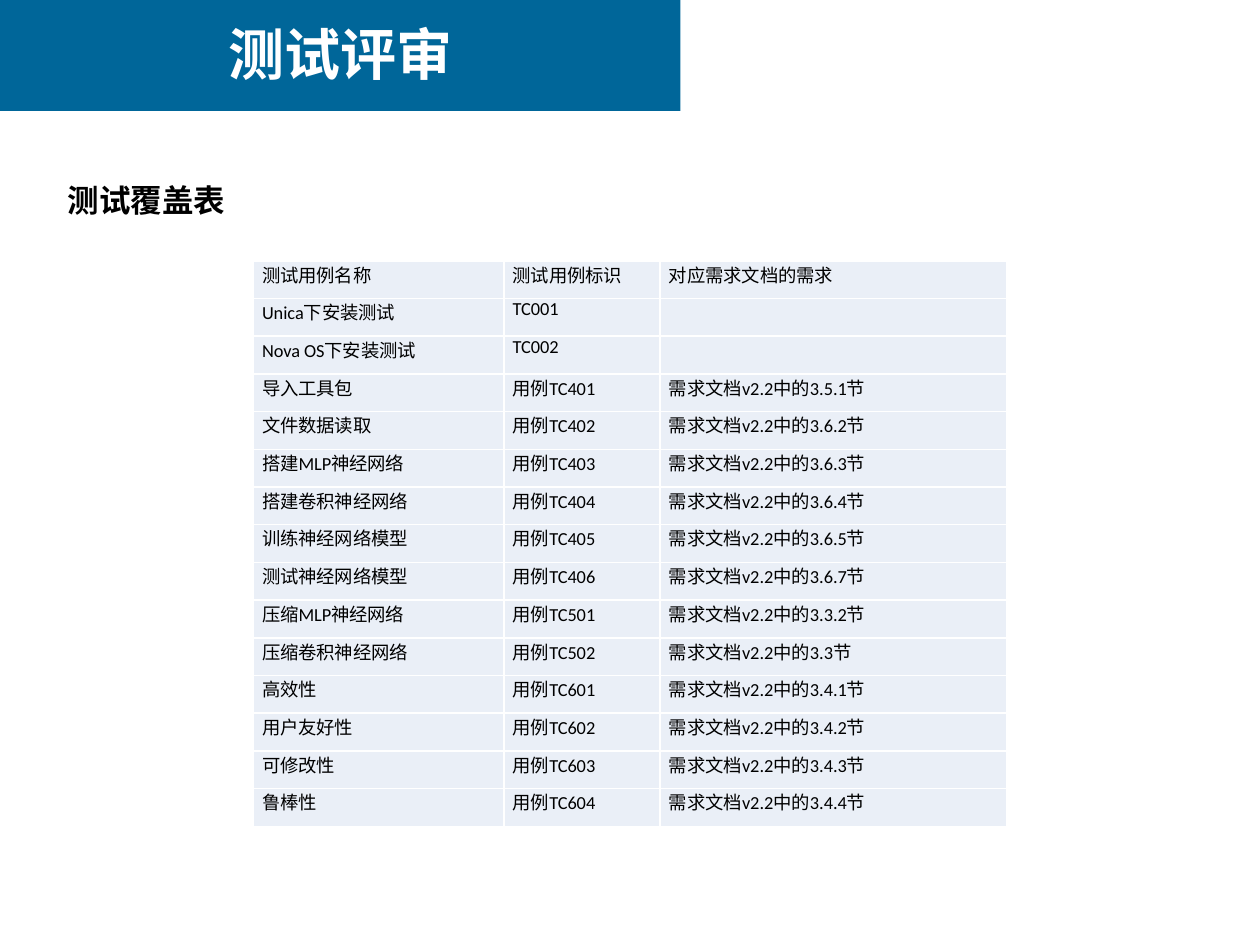
"""Build the test review slide with its test coverage table."""
from lxml import etree
from pptx import Presentation
from pptx.dml.color import RGBColor
from pptx.enum.shapes import MSO_SHAPE
from pptx.enum.text import MSO_AUTO_SIZE, PP_ALIGN
from pptx.oxml.ns import qn
from pptx.util import Inches, Pt

RECTANGLE = MSO_SHAPE.RECTANGLE
GROW = MSO_AUTO_SIZE.SHAPE_TO_FIT_TEXT
LEFT, CENTER, JUSTIFY = PP_ALIGN.LEFT, PP_ALIGN.CENTER, PP_ALIGN.JUSTIFY

TITLE = "测试评审"
SUBTITLE = "测试覆盖表"
HEADER = ("测试用例名称", "测试用例标识", "对应需求文档的需求")
INSTALL_CASES = [
    ("Unica下安装测试", "TC001", ""),
    ("Nova OS下安装测试", "TC002", ""),
]
REQUIREMENT_CASES = [
    ("导入工具包", 401, "3.5.1"),
    ("文件数据读取", 402, "3.6.2"),
    ("搭建MLP神经网络", 403, "3.6.3"),
    ("搭建卷积神经网络", 404, "3.6.4"),
    ("训练神经网络模型", 405, "3.6.5"),
    ("测试神经网络模型", 406, "3.6.7"),
    ("压缩MLP神经网络", 501, "3.3.2"),
    ("压缩卷积神经网络", 502, "3.3"),
    ("高效性", 601, "3.4.1"),
    ("用户友好性", 602, "3.4.2"),
    ("可修改性", 603, "3.4.3"),
    ("鲁棒性", 604, "3.4.4"),
]
COVERAGE = [HEADER, *INSTALL_CASES] + [
    (name, f"用例TC{number}", f"需求文档v2.2中的{section}节")
    for name, number, section in REQUIREMENT_CASES
]

SLIDE_WIDTH, SLIDE_HEIGHT = 10, 7.5
BANNER_WIDTH = 0.54 * SLIDE_WIDTH
COLUMN_WIDTHS = (1.99, 1.24, 2.75)
TABLE_TOP, TABLE_HEIGHT = 2.07, 4.49
CELL_MARGIN = 0.07
BLUE, WHITE, BLACK, PALE = "006699", "FFFFFF", "000000", "EAEFF7"
CJK_FONT = "Noto Sans CJK SC"


def color(value):
    """Return the colour for a hex string."""
    return RGBColor.from_string(value)


def write(frame, text, size, font="Calibri", fill=BLACK, bold=False, align=LEFT, spacing=None):
    """Fill a text frame with one formatted paragraph."""
    frame.word_wrap = True
    paragraph = frame.paragraphs[0]
    paragraph.alignment = align
    paragraph.line_spacing = spacing
    paragraph.font.size = Pt(size)
    if not text:
        return
    run = paragraph.add_run()
    run.text = text
    run.font.size, run.font.bold, run.font.name = Pt(size), bold, font
    run.font.color.rgb = color(fill)
    etree.SubElement(run.font._element, qn("a:ea"), typeface=CJK_FONT)


def add_label(slide, box, text, **style):
    """Add a text box that grows with its text."""
    frame = slide.shapes.add_textbox(*map(Inches, box)).text_frame
    write(frame, text, **style)
    frame.auto_size = GROW


def add_borders(cell, value, points):
    """Draw the four cell borders in one colour."""
    properties = cell._tc.get_or_add_tcPr()
    for index, side in enumerate(("lnL", "lnR", "lnT", "lnB")):
        line = etree.Element(qn(f"a:{side}"), w=str(Pt(points)))
        etree.SubElement(etree.SubElement(line, qn("a:solidFill")), qn("a:srgbClr"), val=value)
        properties.insert(index, line)


def add_coverage(slide):
    """Add the coverage table, centred on the slide."""
    width = sum(COLUMN_WIDTHS)
    box = ((SLIDE_WIDTH - width) / 2, TABLE_TOP, width, TABLE_HEIGHT)
    table = slide.shapes.add_table(len(COVERAGE), len(HEADER), *map(Inches, box)).table
    table.first_row = table.horz_banding = False
    for column, column_width in zip(table.columns, COLUMN_WIDTHS):
        column.width = Inches(column_width)
    for row, texts in zip(table.rows, COVERAGE):
        for cell, text in zip(row.cells, texts):
            cell.margin_left = cell.margin_right = Inches(CELL_MARGIN)
            cell.margin_top = cell.margin_bottom = 0
            cell.fill.solid()
            cell.fill.fore_color.rgb = color(PALE)
            add_borders(cell, WHITE, 1)
            write(cell.text_frame, text, size=10.5, align=JUSTIFY)


def main():
    """Build and save the slide."""
    deck = Presentation()
    deck.slide_width, deck.slide_height = Inches(SLIDE_WIDTH), Inches(SLIDE_HEIGHT)
    slide = deck.slides.add_slide(deck.slide_layouts[6])
    banner = slide.shapes.add_shape(RECTANGLE, *map(Inches, (0, -0.01, BANNER_WIDTH, 0.89)))
    banner.shadow.inherit = False
    banner.fill.solid()
    banner.fill.fore_color.rgb = color(BLUE)
    banner.line.fill.background()
    add_label(slide, (0, 0.11, BANNER_WIDTH, 0.64), TITLE,
              size=32, font=CJK_FONT, fill=WHITE, bold=True, align=CENTER)
    add_label(slide, (0.44, 1.24, 9.12, 0.48), SUBTITLE,
              size=18, font="Arial", bold=True, spacing=1.5)
    add_coverage(slide)
    deck.save("out.pptx")


if __name__ == "__main__":
    main()
